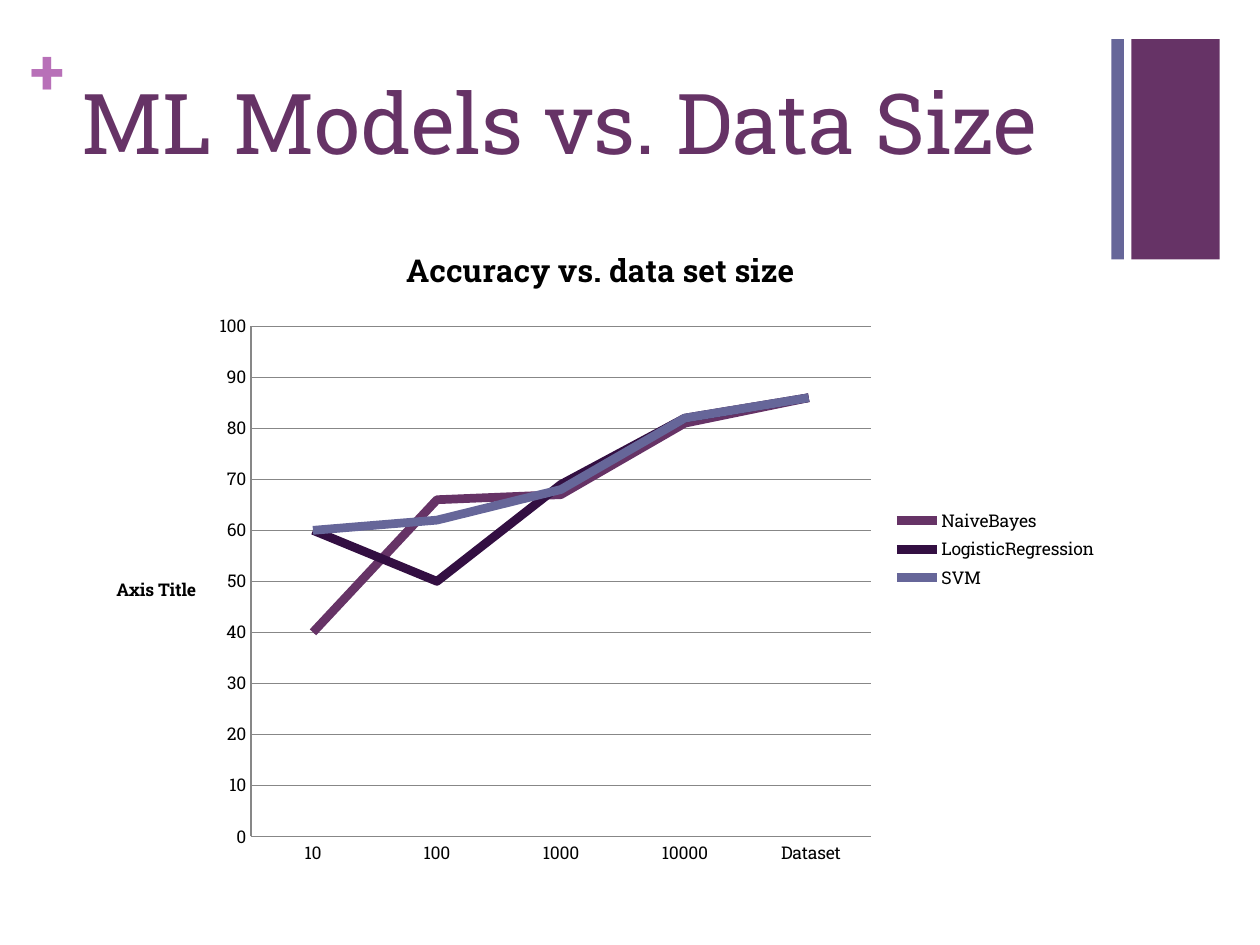
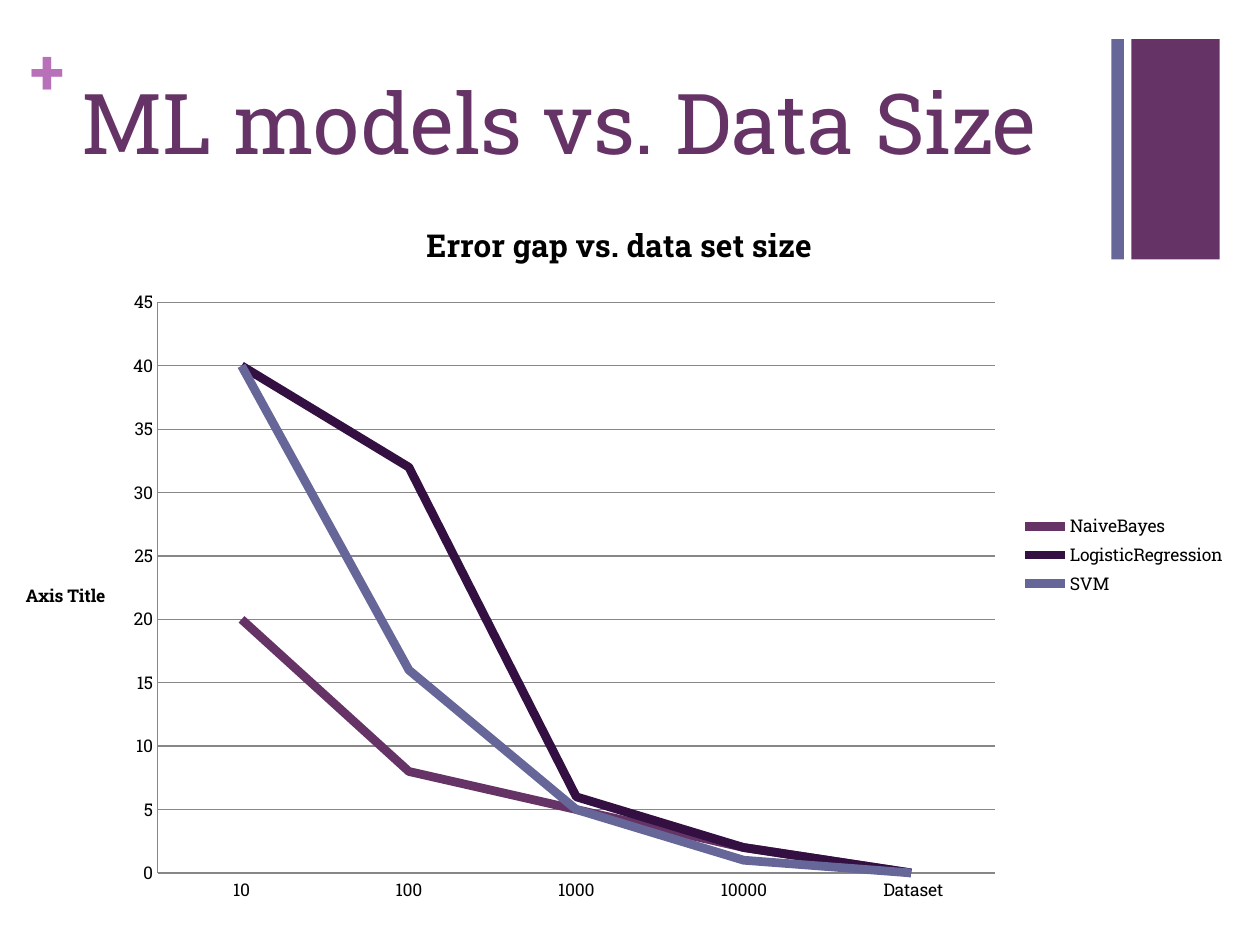
from dataclasses import dataclass

from pptx import Presentation
from pptx.chart import data
from pptx.chart.chart import Chart
from pptx.dml.color import RGBColor
from pptx.enum import chart as charts, shapes, text
from pptx.slide import Slide
from pptx.util import Inches, Pt

PLUM = RGBColor(0x66, 0x33, 0x66)
AUBERGINE = RGBColor(0x33, 0x0F, 0x42)
SLATE = RGBColor(0x66, 0x66, 0x99)
ORCHID = RGBColor(0xB8, 0x70, 0xB8)
GREY = RGBColor(0x87, 0x87, 0x87)
BLACK = RGBColor(0, 0, 0)
FONT = "Roboto Slab"

MODEL_COLOURS = {"NaiveBayes": PLUM, "LogisticRegression": AUBERGINE, "SVM": SLATE}
DATA_SIZES = ["10", "100", "1000", "10000", " Dataset"]


@dataclass(frozen=True)
class Box:
    left: float
    top: float
    width: float
    height: float

    def lengths(self) -> list[Inches]:
        return [Inches(n) for n in (self.left, self.top, self.width, self.height)]


@dataclass(frozen=True)
class Band:
    box: Box
    colour: RGBColor


@dataclass(frozen=True)
class ModelSlide:
    title: str
    chart_title: str
    chart_box: Box
    maximum: int
    step: int
    values: list[list[int]]


BANDS = [Band(Box(8.98, 0.31, 0.7, 1.75), PLUM), Band(Box(8.82, 0.31, 0.1, 1.75), SLATE)]
MODEL_SLIDES = [
    ModelSlide(
        "ML Models vs. Data Size", "Accuracy vs. data set size",
        Box(0.72, 1.75, 8.09, 5.22), 100, 10,
        [[40, 66, 67, 81, 86], [60, 50, 69, 82, 86], [60, 62, 68, 82, 86]],
    ),
    ModelSlide(
        "ML models vs. Data Size", "Error gap vs. data set size",
        Box(0, 1.54, 9.83, 5.73), 45, 5,
        [[20, 8, 5, 2, 0], [40, 32, 6, 2, 0], [40, 16, 5, 1, 0]],
    ),
]


def style_font(font, size: float, colour: RGBColor, bold: bool = False) -> None:
    font.name = FONT
    font.size = Pt(size)
    font.bold = bold
    font.color.rgb = colour


def add_text(slide: Slide, box: Box, content: str, *, size: float, colour: RGBColor,
             bold: bool = False, inset_x: float = 0, inset_y: float = 0) -> None:
    frame = slide.shapes.add_textbox(*box.lengths()).text_frame
    frame.word_wrap = True
    frame.vertical_anchor = text.MSO_ANCHOR.TOP
    frame.margin_left = frame.margin_right = Inches(inset_x)
    frame.margin_top = frame.margin_bottom = Inches(inset_y)
    run = frame.paragraphs[0].add_run()
    run.text = content
    style_font(run.font, size, colour, bold)


def add_band(slide: Slide, band: Band) -> None:
    shape = slide.shapes.add_shape(shapes.MSO_SHAPE.RECTANGLE, *band.box.lengths())
    shape.shadow.inherit = False
    shape.fill.solid()
    shape.fill.fore_color.rgb = band.colour
    shape.line.fill.background()


def add_frame(slide: Slide, title: str) -> None:
    for band in BANDS:
        add_band(slide, band)
    add_text(slide, Box(0.24, 0.25, 0.29, 0.61), "+", size=36, colour=ORCHID, bold=True)
    add_text(slide, Box(0.55, 0.53, 8.26, 1.22), title, size=48, colour=PLUM,
             inset_x=0.1, inset_y=0.03)


def set_title(owner, content: str, size: float) -> None:
    owner.has_title = True
    title = owner.chart_title if isinstance(owner, Chart) else owner.axis_title
    run = title.text_frame.paragraphs[0].add_run()
    run.text = content
    style_font(run.font, size, BLACK, True)


def style_line(line, width: float, colour: RGBColor) -> None:
    line.width = Pt(width)
    line.color.rgb = colour


def add_model_chart(slide: Slide, content: ModelSlide) -> None:
    chart_data = data.CategoryChartData()
    chart_data.categories = DATA_SIZES
    for name, values in zip(MODEL_COLOURS, content.values):
        chart_data.add_series(name, values)
    chart = slide.shapes.add_chart(
        charts.XL_CHART_TYPE.LINE, *content.chart_box.lengths(), chart_data).chart
    style_font(chart.font, 10, BLACK)
    set_title(chart, content.chart_title, 18)
    chart.has_legend = True
    chart.legend.position = charts.XL_LEGEND_POSITION.RIGHT
    chart.legend.include_in_layout = False
    chart.plots[0].vary_by_categories = False
    for series, colour in zip(chart.plots[0].series, MODEL_COLOURS.values()):
        series.smooth = False
        style_line(series.format.line, 5, colour)

    value_axis = chart.value_axis
    for axis in (chart.category_axis, value_axis):
        axis.major_tick_mark = charts.XL_TICK_MARK.NONE
        style_line(axis.format.line, 0.75, GREY)
    value_axis.minimum_scale = 0
    value_axis.maximum_scale = content.maximum
    value_axis.major_unit = content.step
    value_axis.has_major_gridlines = True
    style_line(value_axis.major_gridlines.format.line, 0.75, GREY)
    set_title(value_axis, "Axis Title", 10)
    body = value_axis.axis_title.text_frame._txBody.bodyPr
    body.set("rot", "0")
    body.set("vert", "horz")


def main() -> None:
    presentation = Presentation()
    presentation.slide_width = Inches(10)
    presentation.slide_height = Inches(7.5)
    for content in MODEL_SLIDES:
        slide = presentation.slides.add_slide(presentation.slide_layouts[6])
        add_frame(slide, content.title)
        add_model_chart(slide, content)
    presentation.save("out.pptx")


if __name__ == "__main__":
    main()
